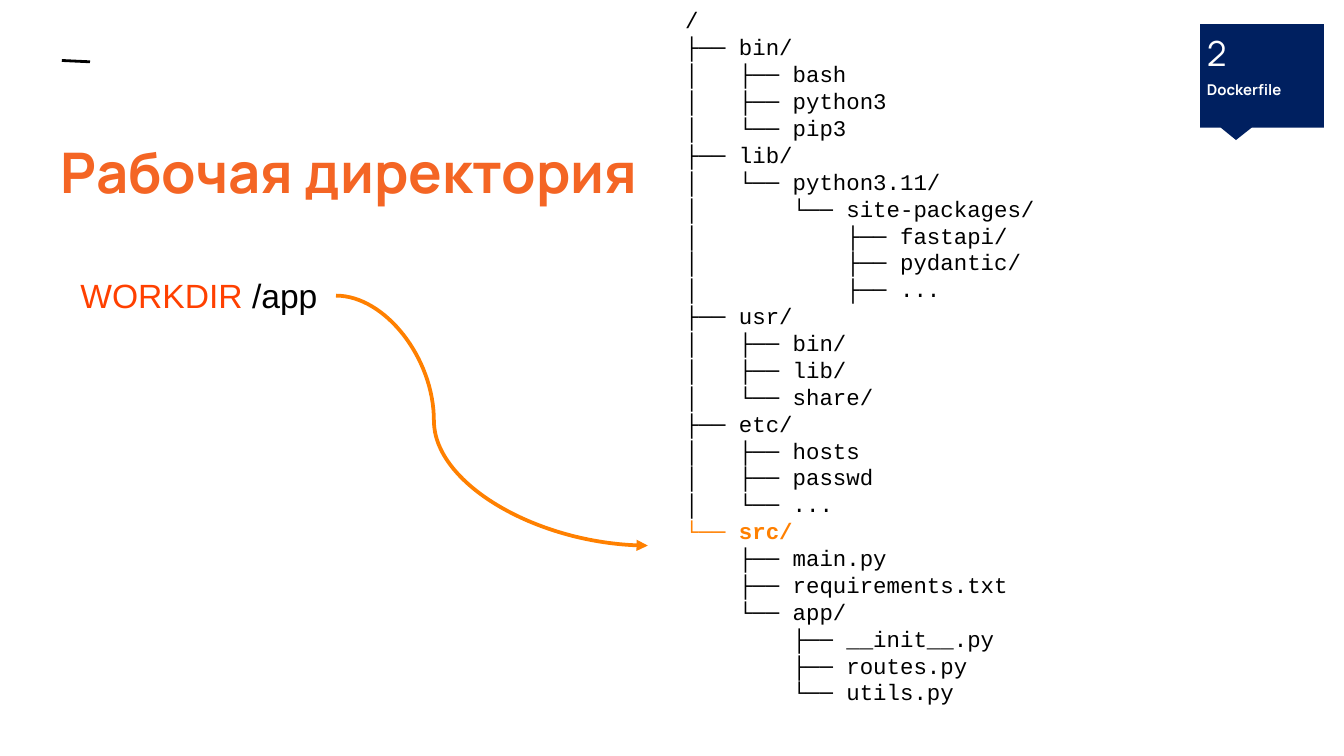
"""Build the slide on the working directory in a Dockerfile."""
from lxml import etree
from pptx import Presentation
from pptx import util as u
from pptx.dml.color import RGBColor
from pptx.enum import shapes, text
from pptx.oxml.ns import qn

HUES = {"title": "F46524", "word": "FF4000", "mark": "FF8000",
        "navy": "002060", "ink": "000000", "white": "FFFFFF"}
TREE = """/
├── bin/
│   ├── bash
│   ├── python3
│   └── pip3
├── lib/
│   └── python3.11/
│       └── site-packages/
│           ├── fastapi/
│           ├── pydantic/
│           ├── ...
├── usr/
│   ├── bin/
│   ├── lib/
│   └── share/
├── etc/
│   ├── hosts
│   ├── passwd
│   └── ...
└── src/
    ├── main.py
    ├── requirements.txt
    └── app/
        ├── __init__.py
        ├── routes.py
        └── utils.py"""


def style(font, name, size, hue, bold=False):
    font.name, font.size, font.bold = name, u.Pt(size), bold
    font.color.rgb = RGBColor.from_string(HUES[hue])


def link(kind, ends, hue, width):
    line = slide.shapes.add_connector(kind, *map(u.Inches, ends))
    line.line.color.rgb = RGBColor.from_string(HUES[hue])
    line.line.width = u.Pt(width)
    etree.SubElement(line._element.spPr, qn("a:effectLst"))
    return line


deck = Presentation()
wide = u.Inches(10)
high = wide * 9 // 16
deck.slide_width, deck.slide_height = wide, high
slide = deck.slides.add_slide(deck.slide_layouts[5])

link(shapes.MSO_CONNECTOR.STRAIGHT, (0.46, 0.45, 0.67, 0.46), "ink", 1.5)

title = slide.shapes.title
title.left, title.top = int(wide * 0.035), int(high * 0.16)
title.width, title.height = int(wide * 0.65), u.Inches(0.68)
frame = title.text_frame
frame.text = "Рабочая директория"
frame.auto_size = text.MSO_AUTO_SIZE.NONE
frame.vertical_anchor = text.MSO_ANCHOR.MIDDLE
frame.margin_left = frame.margin_right = u.Inches(0.1)
frame.margin_top = frame.margin_bottom = u.Inches(0.1)
head = frame.paragraphs[0]
head.alignment = text.PP_ALIGN.LEFT
head.line_spacing, head.space_after = 1.14, u.Pt(16)
style(head.font, "Manrope", 30, "title", True)

order = slide.shapes.add_textbox(*map(u.Inches, (0.5, 2, 2, 0.4)))
order.text_frame.word_wrap = True
for part, hue in (("WORKDIR", "word"), (" /app", "ink")):
    run = order.text_frame.paragraphs[0].add_run()
    run.text = part
    style(run.font, "Arial", 18, hue)

flag = slide.shapes.add_shape(shapes.MSO_SHAPE.RECTANGULAR_CALLOUT,
                              *map(u.Inches, (8.93, 0.18, 0.92, 0.77)))
flag.adjustments[0], flag.adjustments[1] = -0.21, 0.62
flag.shadow.inherit = False
flag.fill.solid()
flag.fill.fore_color.rgb = RGBColor.from_string(HUES["navy"])
flag.line.fill.background()

label = slide.shapes.add_textbox(*map(u.Inches, (8.95, 0.21, 0.87, 0.7)))
frame = label.text_frame
frame.text = "2\nDockerfile"
frame.word_wrap = True
frame.margin_left = frame.margin_right = u.Inches(0.03)
frame.margin_top = frame.margin_bottom = u.Inches(0.03)
count, topic = frame.paragraphs
topic.space_before = topic.space_after = u.Pt(3.8)
style(count.font, "Manrope", 18.5, "white")
style(topic.font, "Manrope", 8, "white", True)

files = slide.shapes.add_textbox(wide // 2, 0, u.Inches(4.25), u.Inches(5.48))
files.text_frame.word_wrap = True
files.text_frame.text = TREE
for row in files.text_frame.paragraphs:
    main = row.text.endswith(" src/")
    style(row.font, "Courier New", 12, "mark" if main else "ink", main)

curve = link(shapes.MSO_CONNECTOR.CURVE, (2.5, 2.2, 4.82, 4.06), "mark", 2)
bend = curve._element.spPr.find(qn("a:prstGeom")).find(qn("a:avLst"))
etree.SubElement(bend, qn("a:gd"), name="adj1", fmla="val 31400")
etree.SubElement(curve.line._get_or_add_ln(), qn("a:tailEnd"), type="triangle")

deck.save("out.pptx")
